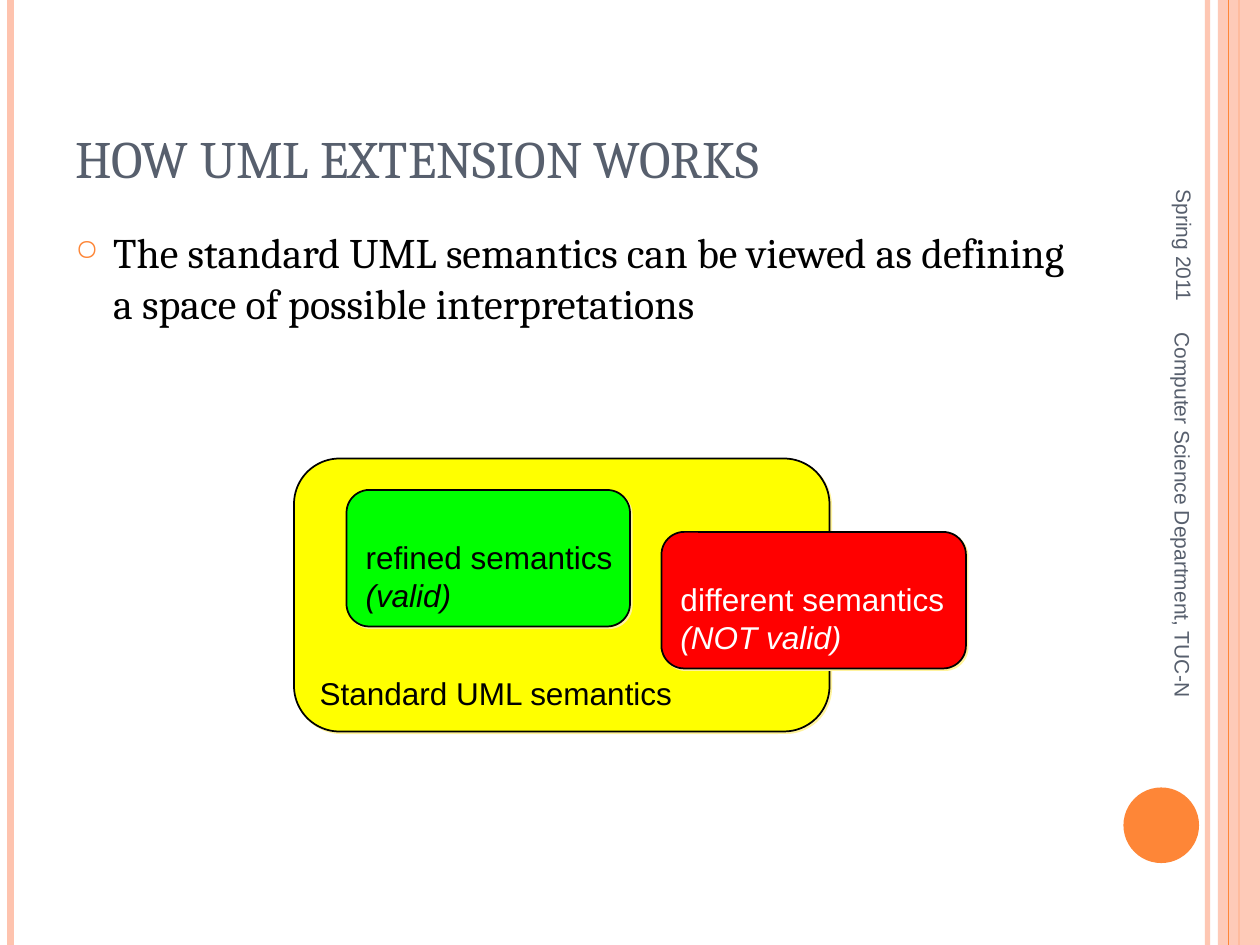
"""Build the slide on how UML extension works."""
import pptx
import pptx.util
import pptx.dml.color
import pptx.enum.shapes
import pptx.enum.text
import pptx.oxml
import pptx.oxml.ns
from lxml import etree

Pt = pptx.util.Pt
KIND = pptx.enum.shapes.MSO_SHAPE
ANCHOR = pptx.enum.text.MSO_ANCHOR
ALIGN = pptx.enum.text.PP_ALIGN
WIDE, HIGH = 720, 540
PEACH, ORANGE, SLATE, BLACK = "FEC3AE", "FE8637", "575F6D", "000000"

LEFT_RULES = [(690, PEACH, 3, 93), (6, PEACH, 4.5, 100), (708, ORANGE, 1.5, 100)]
BAND = (696, 0, 24, HIGH)
EDGE_RULE = (702, ORANGE, 0.75, 100)
DISC = (642, 450, 43.2, 43.2)
TITLE = "HOW UML EXTENSION WORKS"
POINT = "The standard UML semantics can be viewed as defining a space of possible interpretations"
SIDES = [
    ("Spring 2011", (597.6, 85, 158.4, 30.2), ALIGN.RIGHT),
    ("Computer Science Department, TUC-N", (550, 294.5, 252, 28.8), ALIGN.LEFT),
]
SPACES = [
    ((168, 262, 306, 156), "FFFF00", BLACK, ["Standard UML semantics"]),
    ((198, 280, 162, 78), "00FF00", BLACK, ["refined semantics", "(valid)"]),
    ((378, 304, 174, 78), "FF0000", "FFFFFF", ["different semantics", "(NOT valid)"]),
]


def color(text):
    return pptx.dml.color.RGBColor.from_string(text)


def add(node, tag, **attrs):
    return etree.SubElement(node, pptx.oxml.ns.qn(tag), attrs)


def fade(node, share):
    if share < 100:
        hue = next(node.iter(pptx.oxml.ns.qn("a:srgbClr")))
        add(hue, "a:alpha", val=str(share * 1000))


def rule(slide, left, hue, size, share):
    line = slide.shapes.add_connector(
        pptx.enum.shapes.MSO_CONNECTOR.STRAIGHT, Pt(left), Pt(0), Pt(left), Pt(HIGH))
    line.line.color.rgb = color(hue)
    line.line.width = Pt(size)
    props = line._element.spPr
    fade(props, share)
    add(props, "a:effectLst")


def block(slide, kind, place, hue):
    shape = slide.shapes.add_shape(kind, *map(Pt, place))
    shape.shadow.inherit = False
    shape.fill.solid()
    shape.fill.fore_color.rgb = color(hue)
    shape.line.fill.background()
    return shape


def write(para, text, size, face, hue, slant=False):
    run = para.add_run()
    run.text = text
    run.font.size = Pt(size)
    run.font.name = face
    run.font.color.rgb = color(hue)
    if slant:
        run.font.italic = True


def label(slide, place, anchor):
    box = slide.shapes.add_textbox(*map(Pt, place))
    box.text_frame.word_wrap = True
    box.text_frame.vertical_anchor = anchor
    return box, box.text_frame.paragraphs[0]


def bullet(para):
    props = para._p.get_or_add_pPr()
    props.set("marL", str(Pt(21.6)))
    props.set("indent", str(-Pt(21.6)))
    add(add(props, "a:buClr"), "a:srgbClr", val=ORANGE)
    add(props, "a:buSzPct", val="70000")
    add(props, "a:buChar", char="○")


def space(slide, place, fill, ink, lines):
    shape = block(slide, KIND.ROUNDED_RECTANGLE, place, fill)
    shape.line.color.rgb = color(BLACK)
    shape.line.width = Pt(1)
    effects = shape._element.spPr.find(pptx.oxml.ns.qn("a:effectLst"))
    shade = add(effects, "a:outerShdw", dist=str(Pt(1.4)), dir="2700000",
                algn="ctr", rotWithShape="0")
    add(shade, "a:srgbClr", val="FFF39D")
    frame = shape.text_frame
    frame.word_wrap = False
    frame.vertical_anchor = ANCHOR.BOTTOM
    for spot, text in enumerate(lines):
        para = frame.add_paragraph() if spot else frame.paragraphs[0]
        para.alignment = ALIGN.LEFT
        write(para, text, 18, "Arial", ink, spot > 0)


def main():
    deck = pptx.Presentation()
    deck.slide_width, deck.slide_height = Pt(WIDE), Pt(HIGH)
    slide = deck.slides.add_slide(deck.slide_layouts[6])
    for item in LEFT_RULES:
        rule(slide, *item)
    band = block(slide, KIND.RECTANGLE, BAND, PEACH)
    fade(band._element.spPr, 87)
    rule(slide, *EDGE_RULE)
    block(slide, KIND.OVAL, DISC, ORANGE)

    para = label(slide, (36, 21.6, 588, 90), ANCHOR.BOTTOM)[1]
    write(para, TITLE, 30, "Cambria", SLATE)
    para = label(slide, (36, 126, 588, 384), ANCHOR.TOP)[1]
    bullet(para)
    write(para, POINT, 24, "Cambria", BLACK)
    for text, place, align in SIDES:
        box, para = label(slide, place, ANCHOR.MIDDLE)
        box.rotation = 90
        para.alignment = align
        write(para, text, 12, "Arial", SLATE)
    for item in SPACES:
        space(slide, *item)
    deck.save("out.pptx")


if __name__ == "__main__":
    main()
